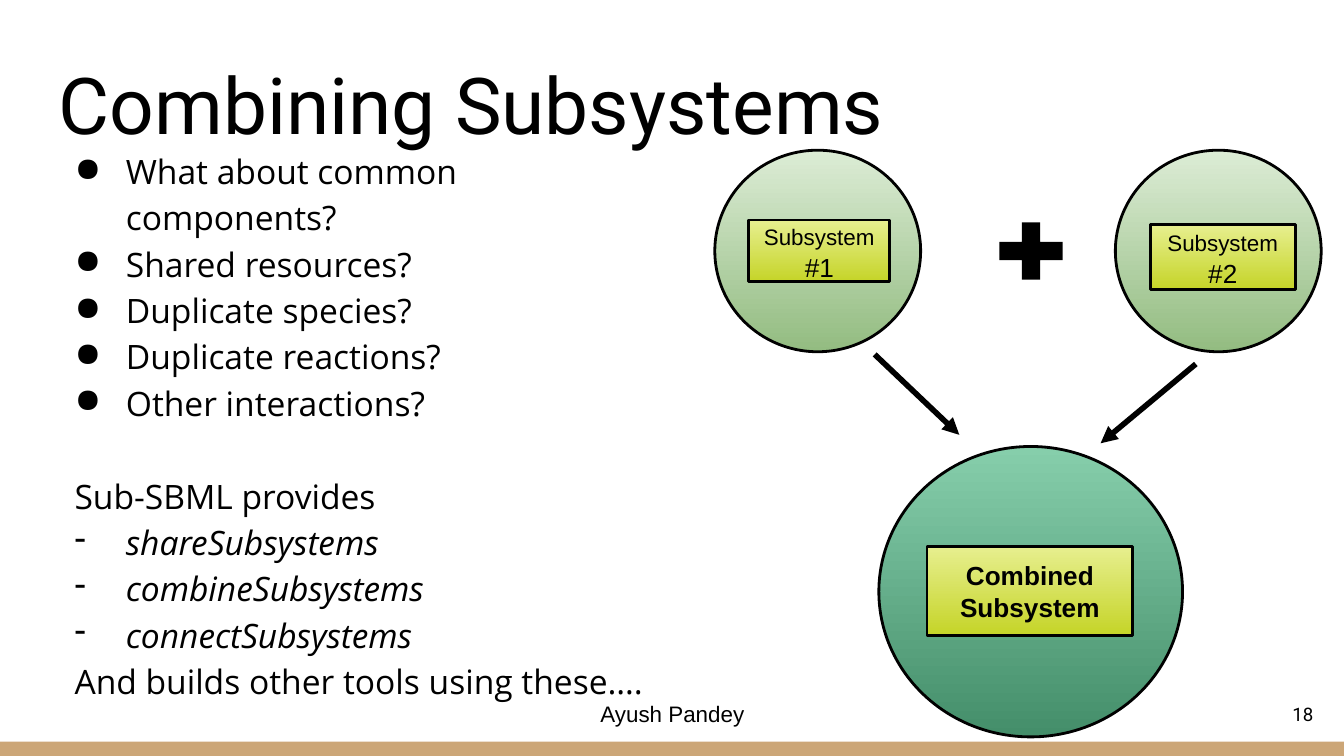
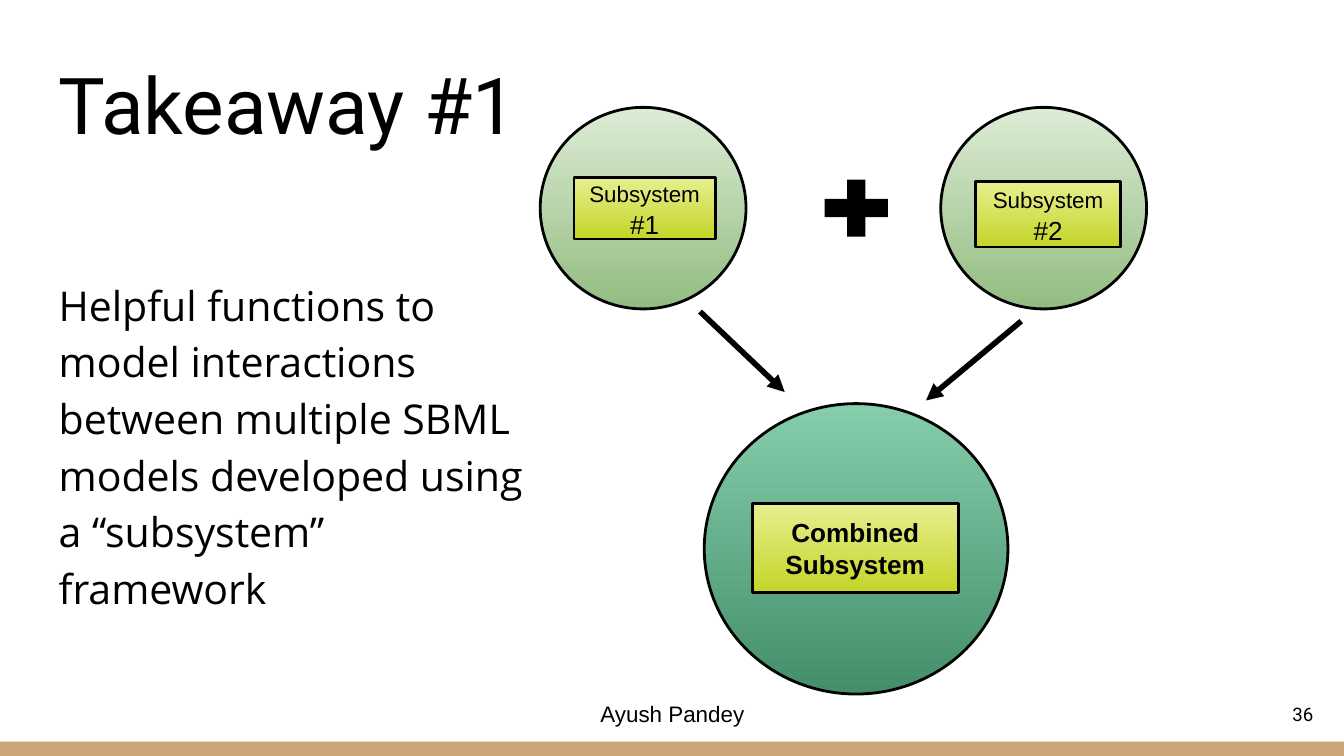
from dataclasses import dataclass

from lxml import etree
from pptx import Presentation
from pptx.dml.color import RGBColor
from pptx.enum.shapes import MSO_CONNECTOR, MSO_SHAPE
from pptx.enum.text import MSO_ANCHOR, PP_ALIGN
from pptx.oxml.ns import qn
from pptx.util import Cm, Pt

RECT, OVAL, PLUS = MSO_SHAPE.RECTANGLE, MSO_SHAPE.OVAL, MSO_SHAPE.MATH_PLUS
STRAIGHT = MSO_CONNECTOR.STRAIGHT
TOP, MIDDLE, BOTTOM = MSO_ANCHOR.TOP, MSO_ANCHOR.MIDDLE, MSO_ANCHOR.BOTTOM
LEFT, CENTER, RIGHT = PP_ALIGN.LEFT, PP_ALIGN.CENTER, PP_ALIGN.RIGHT


@dataclass(frozen=True)
class Theme:
    """Colours, fonts and sizes shared by the slides."""

    ink: str = "000000"
    band: str = "CCA677"
    cell: tuple = ("DCECD5", "93BC81")
    combined: tuple = ("86CEAB", "448E6A")
    label: tuple = ("E7EF8F", "C5D428")
    heading_font: str = "Roboto"
    body_font: str = "Open Sans"
    label_font: str = "Arial"
    title_size: int = 42
    list_size: int = 18
    statement_size: int = 22
    label_size: int = 14
    small_size: int = 12
    number_size: int = 10
    outline: float = 1.5
    arrow: float = 3
    body_spacing: float = 1.15


THEME = Theme()
INSET = Cm(0.25)


def apply(obj, fmt):
    """Set each format value on the object."""
    for name, value in fmt.items():
        setattr(obj, name, value)


def font(name, size, **extra):
    """Return the format values of a run."""
    return {"name": name, "size": Pt(size), **extra}


def set_frame(tf, anchor, **extra):
    """Set wrapping, anchor and insets of a text frame."""
    sides = ("margin_left", "margin_top", "margin_right", "margin_bottom")
    apply(tf, {"word_wrap": True, "vertical_anchor": anchor,
               **dict.fromkeys(sides, INSET), **extra})


def add_run(p, text, fmt):
    """Add a formatted run to a paragraph."""
    r = p.add_run()
    r.text = text
    apply(r.font, fmt)
    r.font.color.rgb = RGBColor.from_string(THEME.ink)


def add_text(shapes, box, text, fmt, anchor=TOP, align=LEFT, **extra):
    """Add a text box with one paragraph."""
    tf = shapes.add_textbox(*map(Cm, box)).text_frame
    set_frame(tf, anchor, **extra)
    p = tf.paragraphs[0]
    p.alignment = align
    add_run(p, text, fmt)
    return tf


def add_figure(shapes, kind, box, fill, outlined=True):
    """Add a preset shape with a plain or two-colour fill."""
    sp = shapes.add_shape(kind, *map(Cm, box))
    sp.shadow.inherit = False
    if isinstance(fill, tuple):
        sp.fill.gradient()
        sp.fill.gradient_angle = 270
        for stop, color in zip(sp.fill.gradient_stops, fill):
            stop.color.rgb = RGBColor.from_string(color)
    else:
        sp.fill.solid()
        sp.fill.fore_color.rgb = RGBColor.from_string(fill)
    if outlined:
        sp.line.color.rgb = RGBColor.from_string(THEME.ink)
        sp.line.width = Pt(THEME.outline)
    else:
        sp.line.fill.background()
    return sp


def add_label(shapes, box, runs):
    """Add a yellow label with centred runs."""
    tf = add_figure(shapes, RECT, box, THEME.label).text_frame
    set_frame(tf, MIDDLE)
    p = tf.paragraphs[0]
    p.alignment = CENTER
    for text, fmt in runs:
        add_run(p, text, fmt)


def add_arrow(shapes, start, end):
    """Add a straight arrow between two points."""
    c = shapes.add_connector(STRAIGHT, *map(Cm, start + end))
    c.line.color.rgb = RGBColor.from_string(THEME.ink)
    c.line.width = Pt(THEME.arrow)
    etree.SubElement(c.line._get_or_add_ln(), qn("a:tailEnd"), type="triangle")
    etree.SubElement(c._element.spPr, qn("a:effectLst"))


def set_bullet(p, char, margin, indent):
    """Set the indents and the optional bullet of a paragraph."""
    pPr = p._p.get_or_add_pPr()
    pPr.set("marL", str(Cm(margin)))
    pPr.set("indent", str(Cm(indent)))
    if char:
        color = etree.SubElement(pPr, qn("a:buClr"))
        etree.SubElement(color, qn("a:srgbClr"), val=THEME.ink)
        etree.SubElement(pPr, qn("a:buChar"), char=char)


def add_list(shapes, box, items):
    """Add a body list of (bullet, text, format) items."""
    tf = shapes.add_textbox(*map(Cm, box)).text_frame
    set_frame(tf, TOP)
    for i, (char, text, fmt) in enumerate(items):
        p = tf.add_paragraph() if i else tf.paragraphs[0]
        p.line_spacing = THEME.body_spacing
        set_bullet(p, char, *((1.27, -0.97) if char else (0.3, 0)))
        add_run(p, text, fmt)
    return tf


def add_diagram(shapes, x, y):
    """Draw two subsystems merging into a combined one."""
    def at(left, top, *size):
        return (x + left, y + top, *size)

    small = font(THEME.label_font, THEME.small_size)
    large = font(THEME.label_font, THEME.label_size)
    subsystems = ((" #2", 7.57, (8.23, 1.4, 2.74, 1.24)),
                  (" #1", 0, (0.64, 1.32, 2.67, 1.17)))
    for number, left, box in subsystems:
        add_figure(shapes, OVAL, at(left, 0, 3.89, 3.81), THEME.cell)
        add_label(shapes, at(*box), [("Subsystem", small), (number, large)])
    add_figure(shapes, OVAL, at(3.1, 5.6, 5.74, 5.49), THEME.combined)
    add_label(shapes, at(4.01, 7.49, 3.89, 1.68),
              [("Combined Subsystem", {**large, "bold": True})])
    plus = add_figure(shapes, PLUS, at(5.16, 1.17, 1.63, 1.47), THEME.ink, False)
    plus.adjustments[0] = 0.235
    add_arrow(shapes, at(3.02, 3.86), at(4.62, 5.38))
    add_arrow(shapes, at(9.09, 4.04), at(7.29, 5.54))


def add_base(prs, title, number):
    """Add a slide with band, footer, title and number."""
    s = prs.slides.add_slide(prs.slide_layouts[6])
    add_figure(s.shapes, RECT, (0, 14.02, 25.4, 0.27), THEME.band, False)
    add_text(s.shapes, (11.02, 13.11, 3.38, 0.76), "Ayush Pandey",
             font(THEME.label_font, THEME.small_size), align=CENTER,
             margin_top=Cm(0.13), margin_bottom=Cm(0.13))
    add_text(s.shapes, (0.86, 0.77, 23.67, 2.31), title,
             font(THEME.heading_font, THEME.title_size), BOTTOM)
    add_text(s.shapes, (23.55, 12.95, 1.52, 1.09), number,
             font(THEME.heading_font, THEME.number_size), MIDDLE, RIGHT)
    return s


def add_combining(prs):
    """Build the slide on combining subsystems."""
    s = add_base(prs, "Combining Subsystems", "18")
    plain = font(THEME.body_font, THEME.list_size)
    questions = ("What about common components?", "Shared resources?",
                 "Duplicate species?", "Duplicate reactions?",
                 "Other interactions?")
    tools = ("shareSubsystems", "combineSubsystems", "connectSubsystems")
    items = [("●", text, plain) for text in questions]
    items.append((None, "Sub-SBML provides", plain))
    items += [("-", text, {**plain, "italic": True}) for text in tools]
    items.append((None, "And builds other tools using these….", plain))
    tf = add_list(s.shapes, (0.86, 2.49, 11.84, 9.32), items)
    tf.paragraphs[len(questions)].space_before = Pt(25)
    add_diagram(s.shapes, 13.51, 2.84)


def add_takeaway(prs):
    """Build the slide with the first takeaway."""
    s = add_base(prs, "Takeaway #1", "36")
    text = ("Helpful functions to model interactions between multiple SBML "
            "models developed using a “subsystem” framework")
    tf = add_text(s.shapes, (0.86, 3.4, 9.35, 9.32), text,
                  font(THEME.body_font, THEME.statement_size),
                  margin_top=Cm(1.76))
    tf.paragraphs[0].line_spacing = THEME.body_spacing
    add_diagram(s.shapes.add_group_shape().shapes, 10.21, 2.03)


def main():
    """Build and save the presentation."""
    prs = Presentation()
    apply(prs, {"slide_width": Cm(25.4), "slide_height": Cm(14.29)})
    add_combining(prs)
    add_takeaway(prs)
    prs.save("out.pptx")


if __name__ == "__main__":
    main()
